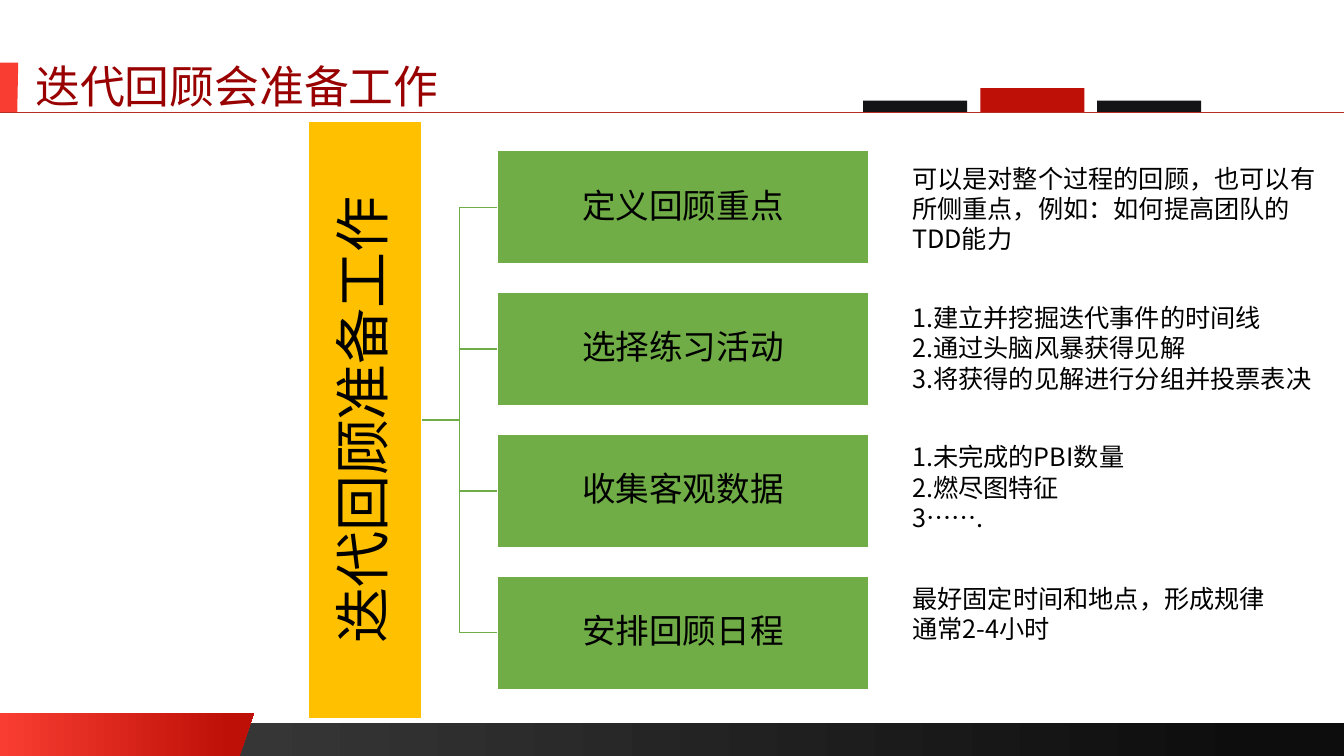
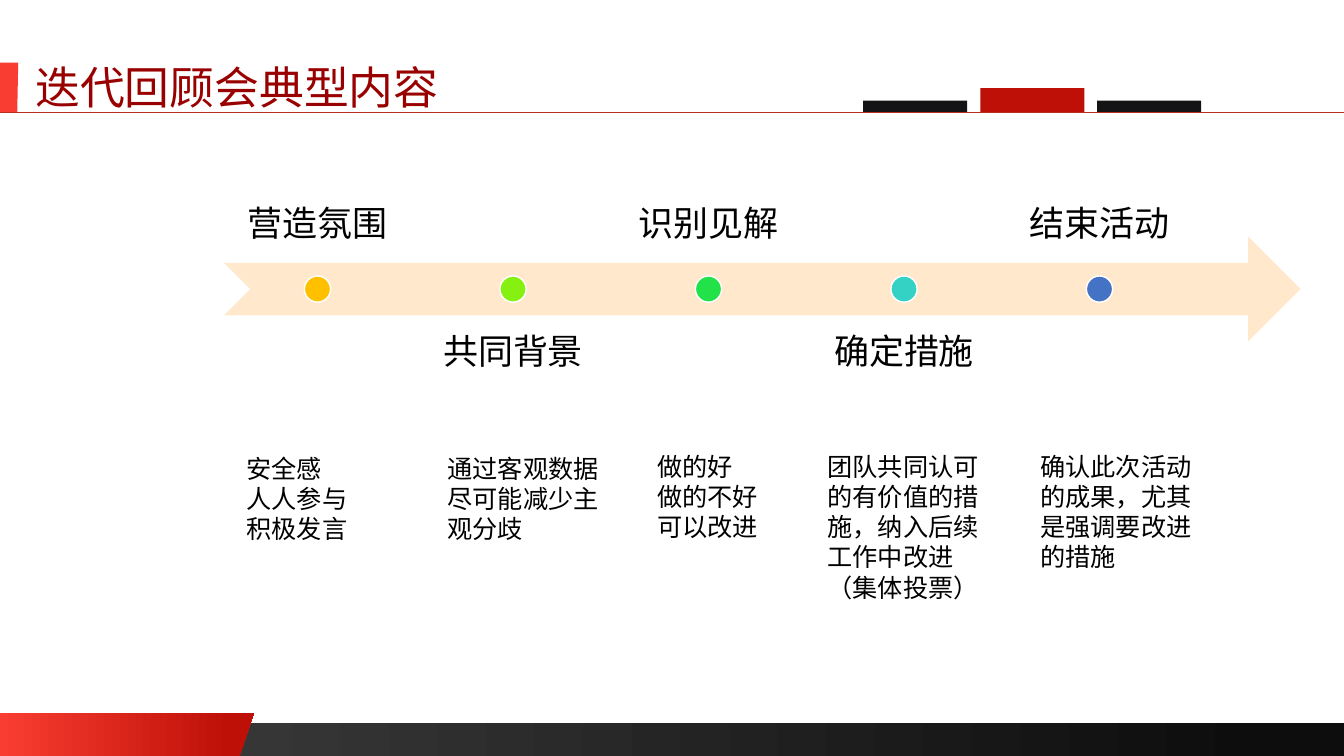
import pptx
import pptx.util
import pptx.dml.color
import pptx.enum.shapes
import pptx.enum.text
import pptx.oxml.ns
from lxml import etree

Pt = pptx.util.Pt
SHAPE = pptx.enum.shapes.MSO_SHAPE
CONNECTOR = pptx.enum.shapes.MSO_CONNECTOR
ANCHOR = pptx.enum.text.MSO_ANCHOR
ALIGN = pptx.enum.text.PP_ALIGN
qn = pptx.oxml.ns.qn

# Content
PREPARATION_TITLE = "迭代回顾会准备工作"
PREPARATION_ROOT = "迭代回顾准备工作"
# step, explanation lines, explanation top, explanation width
PREPARATION_STEPS = [
    ("定义回顾重点", ["可以是对整个过程的回顾，也可以有所侧重点，例如：如何提高团队的TDD能力"], 113, 307.5),
    ("选择练习活动", ["1.建立并挖掘迭代事件的时间线", "2.通过头脑风暴获得见解",
                "3.将获得的见解进行分组并投票表决"], 212.5, 301),
    ("收集客观数据", ["1.未完成的PBI数量", "2.燃尽图特征", "3……."], 312, 166.5),
    ("安排回顾日程", ["最好固定时间和地点，形成规律", "通常2-4小时"], 413, 269.5),
]
AGENDA_TITLE = "迭代回顾会典型内容"
# stage, dot colour, explanation lines, explanation left, top, width
AGENDA_STAGES = [
    ("营造氛围", "FFC000", ["安全感", "人人参与", "积极发言"], 169, 320, 88),
    ("共同背景", "86F011", ["通过客观数据", "尽可能减少主观分歧"], 312.5, 320, 131),
    ("识别见解", "23E148", ["做的好", "做的不好", "可以改进"], 462.5, 318.5, 88),
    ("确定措施", "33D2C5", ["团队共同认可的有价值的措施，纳入后续工作中改进（集体投票）"], 584, 318.5, 134.5),
    ("结束活动", "4472C4", ["确认此次活动的成果，尤其是强调要改进的措施"], 736, 318.5, 134.5),
]

# Shared style
WIDTH, HEIGHT = 960, 540
CJK_FONT = "Noto Sans CJK SC"
RED, DARK_RED, BLACK, WHITE = "F93D32", "BE1007", "141316", "FFFFFF"
GREEN, AMBER, PEACH = "70AD47", "FFC000", "FFE8CC"
# left, top, width, height, colour
HEADER_BLOCKS = [(616.5, 71.9, 74.3, 8.1, BLACK), (700.3, 63, 74.3, 17, DARK_RED),
                 (783.6, 71.9, 74.3, 8.1, BLACK)]


def color(value):
    return pptx.dml.color.RGBColor.from_string(value)


def paint(shape, fill, line=None):
    """Fill with one colour, or with a gradient from (position, colour) pairs."""
    shape.shadow.inherit = False
    if isinstance(fill, str):
        shape.fill.solid()
        shape.fill.fore_color.rgb = color(fill)
    else:
        shape.fill.gradient()
        shape.fill.gradient_angle = 0
        for stop, (position, value) in zip(shape.fill.gradient_stops, fill):
            stop.position = position
            stop.color.rgb = color(value)
    if line:
        shape.line.color.rgb = color(line)
        shape.line.width = Pt(1)
    else:
        shape.line.fill.background()
    return shape


def add_box(slide, kind, left, top, width, height, fill, line=None):
    shape = slide.shapes.add_shape(kind, Pt(left), Pt(top), Pt(width), Pt(height))
    return paint(shape, fill, line)


def add_polygon(slide, points, fill):
    builder = slide.shapes.build_freeform(Pt(points[0][0]), Pt(points[0][1]))
    builder.add_line_segments([(Pt(x), Pt(y)) for x, y in points[1:]])
    return paint(builder.convert_to_shape(), fill)


def add_line(slide, kind, start, end, line, width):
    connector = slide.shapes.add_connector(kind, *(Pt(value) for value in start + end))
    connector.line.color.rgb = color(line)
    connector.line.width = Pt(width)
    etree.SubElement(connector.element.spPr, qn("a:effectLst"))
    return connector


def write(shape, lines, size, font=CJK_FONT, value="000000", align=ALIGN.LEFT,
          anchor=ANCHOR.TOP, spacing=None, insets=(7.2, 3.6)):
    frame = shape.text_frame
    frame.text = "\n".join(lines)
    frame.word_wrap = True
    frame.auto_size = pptx.enum.text.MSO_AUTO_SIZE.NONE
    frame.vertical_anchor = anchor
    frame.margin_left = frame.margin_right = Pt(insets[0])
    frame.margin_top = frame.margin_bottom = Pt(insets[1])
    for paragraph in frame.paragraphs:
        paragraph.alignment = align
        if spacing:
            paragraph.line_spacing = spacing
        for run in paragraph.runs:
            run.font.size = Pt(size)
            run.font.name = font
            run.font.color.rgb = color(value)
    for properties in shape.element.iter(qn("a:rPr")):
        properties.set("lang", "zh-CN")
        etree.SubElement(properties, qn("a:ea")).set("typeface", CJK_FONT)


def add_text(slide, lines, left, top, width, height, size, **style):
    shape = slide.shapes.add_textbox(Pt(left), Pt(top), Pt(width), Pt(height))
    write(shape, lines, size, **style)


def add_explanation(slide, lines, left, top, width):
    add_text(slide, lines, left, top, width, 73, 18)


def add_slide(presentation, title, title_top):
    """Add a slide with its title, header and footer band."""
    slide = presentation.slides.add_slide(presentation.slide_layouts[5])
    heading = slide.shapes.title
    heading.left, heading.top = Pt(18), Pt(title_top)
    heading.width, heading.height = Pt(459), Pt(50)
    write(heading, [title], 32, "Karla", "990000", anchor=ANCHOR.MIDDLE, spacing=1.1)
    add_box(slide, SHAPE.RECTANGLE, 0, 516.5, WIDTH, 23.5, [(0, "404040"), (0.94, "0D0D0D")])
    add_polygon(slide, [(0, 509), (181.5, 509), (171, HEIGHT), (0, HEIGHT)],
                [(0, RED), (0.91, DARK_RED)])
    add_polygon(slide, [(0, 44.7), (13, 44.7), (12.3, 80.5), (0, 80.5)], RED)
    add_line(slide, CONNECTOR.STRAIGHT, (0, 80.2), (WIDTH, 80.2), "B82E24", 0.5)
    for left, top, width, height, fill in HEADER_BLOCKS:
        add_box(slide, SHAPE.RECTANGLE, left, top, width, height, fill)
    return slide


def build_preparation(presentation):
    slide = add_slide(presentation, PREPARATION_TITLE, 34)
    # Root bar with upward text
    thickness, bar_top, bar_height = 81, 86.5, 427
    root = add_box(slide, SHAPE.RECTANGLE, 220.5, bar_top, thickness, bar_height, AMBER, WHITE)
    write(root, [PREPARATION_ROOT], 40, "Calibri", align=ALIGN.CENTER,
          anchor=ANCHOR.MIDDLE, spacing=0.9, insets=(2, 2))
    root.element.txBody.bodyPr.set("vert", "vert270")

    # Step boxes, centred on the bar, with their branches and explanations
    pitch, center = 101.3, bar_top + bar_height / 2
    first_top = center - (pitch * (len(PREPARATION_STEPS) - 1) + thickness) / 2
    for index, (step, lines, top, width) in enumerate(PREPARATION_STEPS):
        box = add_box(slide, SHAPE.RECTANGLE, 355, first_top + index * pitch,
                      265.5, thickness, GREEN, WHITE)
        write(box, [step], 24, "Calibri", align=ALIGN.CENTER,
              anchor=ANCHOR.MIDDLE, spacing=0.9, insets=(1.5, 1.5))
        branch = add_line(slide, CONNECTOR.ELBOW, (0, 0), (0, 0), GREEN, 1)
        branch.begin_connect(root, 3)
        branch.end_connect(box, 1)
        add_explanation(slide, lines, 644.5, top, width)


def build_agenda(presentation):
    slide = add_slide(presentation, AGENDA_TITLE, 35)
    arrow_top, arrow_height = 169, 75
    add_box(slide, SHAPE.NOTCHED_RIGHT_ARROW, 160, arrow_top, 769, arrow_height, PEACH)

    # Stages: labels alternate above and below the arrow
    first_center, pitch, dot, label_width = 226.8, 139.65, 18.7, 133
    for index, (stage, fill, lines, left, top, width) in enumerate(AGENDA_STAGES):
        center = first_center + index * pitch
        above = index % 2 == 0
        add_box(slide, SHAPE.OVAL, center - dot / 2, arrow_top + (arrow_height - dot) / 2,
                dot, dot, fill, WHITE)
        add_text(slide, [stage], center - label_width / 2, 112.5 if above else 225.5,
                 label_width, 75, 25, align=ALIGN.CENTER, spacing=0.9, insets=(13.5, 13.5),
                 anchor=ANCHOR.BOTTOM if above else ANCHOR.TOP)
        add_explanation(slide, lines, left, top, width)


def main():
    presentation = pptx.Presentation()
    presentation.slide_width, presentation.slide_height = Pt(WIDTH), Pt(HEIGHT)
    build_preparation(presentation)
    build_agenda(presentation)
    presentation.save("out.pptx")


if __name__ == "__main__":
    main()
